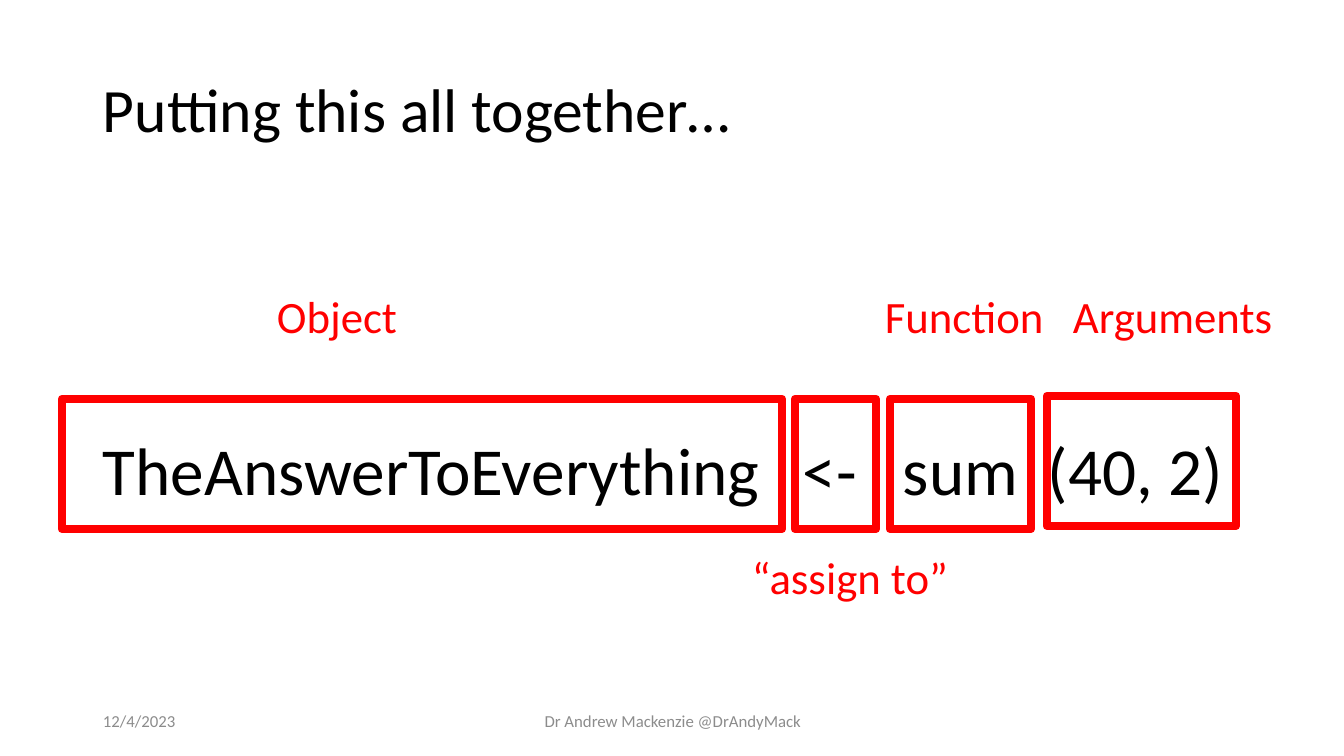
"""Build a slide that labels the parts of an R assignment."""
from lxml import etree
from pptx import Presentation
from pptx.dml.color import RGBColor
from pptx.enum.shapes import MSO_SHAPE
from pptx.enum.text import MSO_ANCHOR, PP_ALIGN
from pptx.oxml.ns import qn
from pptx.util import Emu, Pt

RECT = MSO_SHAPE.RECTANGLE
TOP, MIDDLE = MSO_ANCHOR.TOP, MSO_ANCHOR.MIDDLE
LEFT, CENTER = PP_ALIGN.LEFT, PP_ALIGN.CENTER
BLACK = RGBColor(0x00, 0x00, 0x00)
RED = RGBColor(0xFF, 0x00, 0x00)
GREY = RGBColor(0x8C, 0x8C, 0x8C)
FONT = "Calibri"
PX_PER_INCH = 100.8

TITLE = "Putting this all together…"
TOKENS = ["TheAnswerToEverything", "<-", "sum", "(40, 2)"]
TOKEN_TABS = [700, 800, 945]
FOOTERS = [("12/4/2023", 93, 302, LEFT),
           ("Dr Andrew Mackenzie @DrAndyMack", 446, 454, CENTER)]
FRAMES = [(62, 399, 720), (795, 399, 81), (890, 399, 141), (1047, 396, 189)]
FRAME_H = 130
LABELS = [("Object", 267, 284), ("Function", 875, 284),
          ("Arguments", 1063, 284), ("“assign to”", 742, 545)]
LABEL_W, LABEL_H = 270, 65


def px(n):
    return Emu(round(n * 914400 / PX_PER_INCH))


def add_text(s, text, x, y, w, h, size=32, color=RED, align=LEFT,
             anchor=TOP, spacing=1.0, tabs=()):
    tf = s.shapes.add_textbox(px(x), px(y), px(w), px(h)).text_frame
    tf.word_wrap = True
    tf.vertical_anchor = anchor
    p = tf.paragraphs[0]
    p.alignment = align
    p.line_spacing = spacing
    if tabs:
        tab_list = etree.SubElement(p._p.get_or_add_pPr(), qn("a:tabLst"))
        for tab in tabs:
            etree.SubElement(tab_list, qn("a:tab"), pos=str(px(tab)), algn="l")
    r = p.add_run()
    r.text = text
    r.font.name = FONT
    r.font.size = Pt(size)
    r.font.color.rgb = color


def add_frame(s, x, y, w):
    sp = s.shapes.add_shape(RECT, px(x), px(y), px(w), px(FRAME_H))
    sp.shadow.inherit = False
    sp.fill.background()
    sp.line.color.rgb = RED
    sp.line.width = Pt(6)


def main():
    prs = Presentation()
    prs.slide_width, prs.slide_height = px(1344), px(756)
    s = prs.slides.add_slide(prs.slide_layouts[6])
    add_text(s, TITLE, 93, 40, 1159, 146, size=44, color=BLACK,
             anchor=MIDDLE, spacing=0.9)
    add_text(s, "\t".join(TOKENS), 93, 432, 1159, 84, size=48, color=BLACK,
             spacing=0.9, tabs=TOKEN_TABS)
    for text, x, w, align in FOOTERS:
        add_text(s, text, x, 701, w, 40, size=12, color=GREY, align=align,
                 anchor=MIDDLE)
    for frame in FRAMES:
        add_frame(s, *frame)
    for text, x, y in LABELS:
        add_text(s, text, x, y, LABEL_W, LABEL_H)
    prs.save("out.pptx")


if __name__ == "__main__":
    main()
